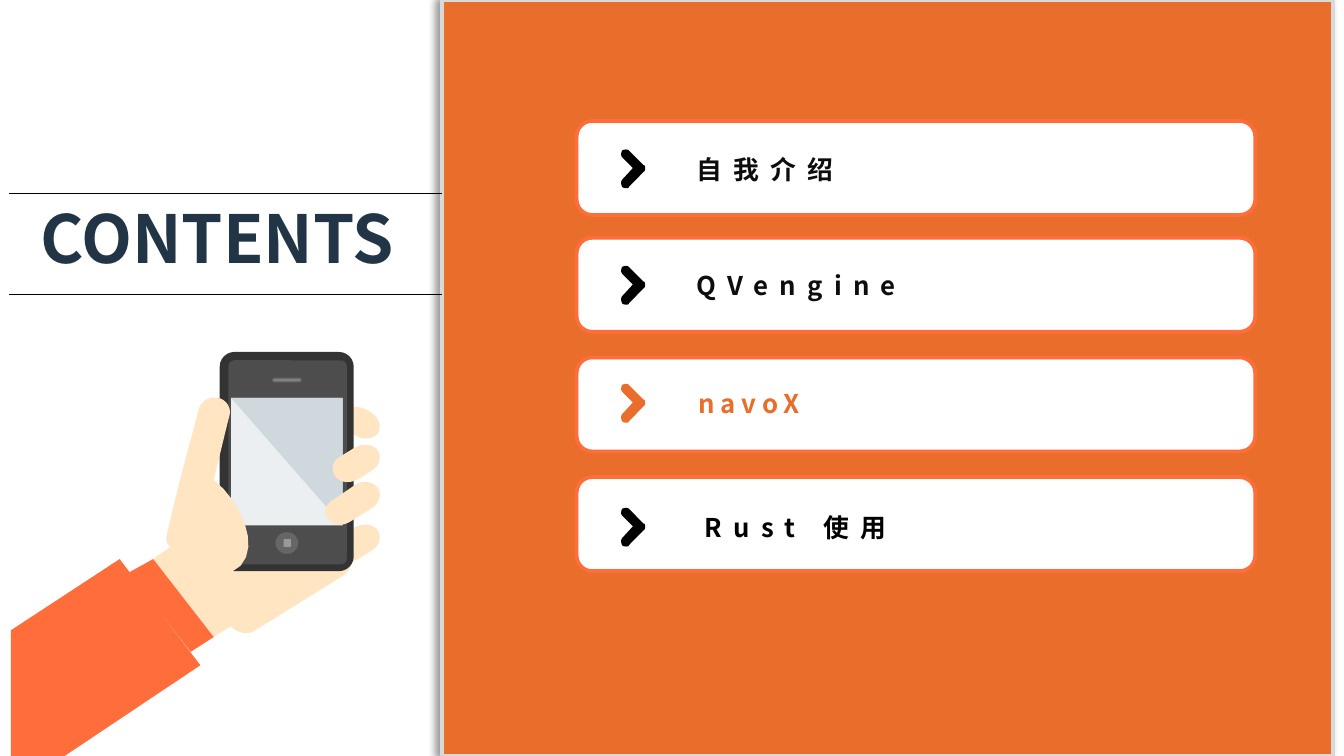
import dataclasses

import lxml.etree
import pptx
import pptx.dml.color
import pptx.enum.shapes
import pptx.enum.text
import pptx.oxml.ns
import pptx.util

Pt = pptx.util.Pt
qn = pptx.oxml.ns.qn
KIND = pptx.enum.shapes.MSO_SHAPE


@dataclasses.dataclass(frozen=True)
class Theme:
    font: str = "Noto Sans CJK SC"
    head: float = 35.5
    item: float = 13.8
    orange: str = "E96D2B"
    coral: str = "FF6D3B"
    skin: str = "FFE5C2"
    navy: str = "213546"
    ink: str = "0D0D0D"
    black: str = "000000"
    white: str = "FFFFFF"
    edge: str = "D9D9D9"
    case: str = "333333"
    face: str = "4D4D4D"
    knob: str = "666666"
    slot: str = "808080"
    mark: str = "999999"
    glass: str = "ECEFF1"
    glare: str = "CFD8DC"


T = Theme()

# Outlines in points: two numbers are a line, six a curve
CHEVRON = [(4.3, .7), (3.6, 0, 2.2, 0, .7, .7), (0, 2.2, 0, 3.6, .7, 4.3),
           (6.5, 10.1), (.7, 16.4), (0, 17.3, 0, 18.7, .7, 20.2),
           (1.4, 20.9, 2.2, 20.9, 2.9, 20.9), (3.6, 20.9, 4.3, 20.9, 4.3, 20.2),
           (12.2, 12.2), (13, 11.5, 13, 11.5, 13, 10.1),
           (13, 9.4, 13, 8.6, 12.2, 8.6)]
SHORT = [(2.9, 18), (5, 20.9, 10.1, 21.6, 14.4, 19.4), (22.3, 14.4),
         (26.6, 11.5, 27.4, 7.2, 25.2, 3.6), (22.3, 0, 17.3, 0, 13, 2.2),
         (5, 7.2), (.7, 9.4, 0, 14.4, 2.9, 18)]
LONG = [(2.9, 20.9), (5.8, 24.5, 10.8, 25.2, 15.1, 22.3), (26.6, 15.1),
        (31, 12.2, 31.7, 7.2, 29.5, 4.3), (26.6, .7, 20.9, 0, 17.3, 2.9),
        (5.8, 10.8), (1.4, 13, 0, 18, 2.9, 20.9)]
INDEX = [(20.9, 15.1), (18, 18, 12.2, 18.7, 7.9, 15.1), (5.8, 14.4),
         (2.2, 11.5, 0, 6.5, 2.9, 3.6), (5, 0, 11.5, 0, 15.1, 2.2),
         (17.3, 3.6), (22.3, 6.5, 23, 11.5, 20.9, 15.1)]
PALM = [(186.5, 295.9), (154.1, 252.7), (151.2, 249.1, 144.7, 248.4, 141.1, 251.3),
        (93.6, 280.8), (89.3, 283.7, 87.8, 288.7, 91.4, 293), (82.1, 299.5),
        (114.5, 341.3), (123.8, 335.5), (126.7, 339.1, 133.2, 340.6, 136.8, 337.7),
        (184.3, 308.2), (188.6, 304.6, 190.1, 299.5, 186.5, 295.9)]
THUMB = [(114.5, 257), (129.6, 269.3, 139, 292.3, 128.9, 303.1),
         (118.1, 314.6, 97.2, 299.5, 91.4, 293), (90, 292.3, 88.6, 289.4, 89.3, 287.3),
         (94.3, 264.2, 100.8, 241.2, 106.6, 218.9),
         (108, 214.6, 112.3, 212.4, 116.6, 213.1),
         (121, 213.8, 123.8, 218.2, 123.1, 221.8)]
SLEEVE = [(64.1, 299.5), (5.8, 337.7), (5.8, 406), (33.1, 406), (107.3, 356.4)]
CUFF = [(102.2, 349.2), (114.5, 341.3), (82.1, 299.5), (69.1, 306.7)]
GLARE = [(183.6, 213.1), (123.8, 213.1), (183.6, 281.5)]

# Text, card top, icon top, colour, letter gap, indent
ROWS = [("自我介绍", 64.8, 79.9, T.ink, 6, 0),
        ("QVengine", 127.4, 142.3, T.ink, 6, 0),
        ("navoX", 191.5, 205.5, T.orange, 3, 1.4),
        ("Rust 使用", 255.6, 271.9, T.black, 6, 4.5)]


def tint(color):
    return pptx.dml.color.RGBColor.from_string(color)


def paint(shape, fill, line=None):
    shape.shadow.inherit = False
    shape.fill.solid()
    shape.fill.fore_color.rgb = tint(fill)
    if line:
        shape.line.color.rgb = tint(line)
        shape.line.width = Pt(2)
    else:
        shape.line.fill.background()
    return shape


def block(slide, kind, box, fill, line=None, round=None):
    shape = slide.shapes.add_shape(kind, *map(Pt, box))
    if round is not None:
        shape.adjustments[0] = round
    return paint(shape, fill, line)


def trace(path, steps=8):
    points = [path[0]]
    for part in path[1:]:
        if len(part) == 2:
            points.append(part)
            continue
        a, (b, c, d) = points[-1], (part[:2], part[2:4], part[4:])
        for n in range(1, steps + 1):
            t = n / steps
            u = 1 - t
            points.append(tuple(
                u**3 * a[i] + 3 * u * u * t * b[i] + 3 * u * t * t * c[i] + t**3 * d[i]
                for i in (0, 1)))
    return points


def draw(slide, path, fill, left=0, top=0):
    points = [(Pt(x + left), Pt(y + top)) for x, y in trace(path)]
    pen = slide.shapes.build_freeform(*points[0])
    pen.add_line_segments(points[1:], close=True)
    paint(pen.convert_to_shape(), fill)


def rule(slide, y):
    line = slide.shapes.add_connector(
        pptx.enum.shapes.MSO_CONNECTOR.STRAIGHT, Pt(5), Pt(y), Pt(236.9), Pt(y))
    line.line.color.rgb = tint(T.black)
    line.line.width = Pt(.75)
    lxml.etree.SubElement(line._element.spPr, qn("a:effectLst"))


def shade(shape):
    glow = lxml.etree.SubElement(
        shape._element.spPr.find(qn("a:effectLst")), qn("a:outerShdw"),
        blurRad=str(Pt(4)), dist=str(Pt(3)), dir="10800000", rotWithShape="0")
    color = lxml.etree.SubElement(glow, qn("a:srgbClr"), val=T.black)
    lxml.etree.SubElement(color, qn("a:alpha"), val="40000")


def place(slide, holder, box, inset=0):
    slide.shapes._spTree.append(holder._element)  # bring to front
    holder.left, holder.top, holder.width, holder.height = map(Pt, box)
    frame = holder.text_frame
    frame.word_wrap = True
    frame.auto_size = pptx.enum.text.MSO_AUTO_SIZE.NONE
    frame.vertical_anchor = pptx.enum.text.MSO_ANCHOR.TOP
    frame.margin_left = Pt(inset)
    frame.margin_top = frame.margin_right = frame.margin_bottom = 0
    return frame


def write(para, text, size, color, gap=0, indent=0, before=0, pitch=None):
    para.alignment = pptx.enum.text.PP_ALIGN.LEFT
    para.space_before = Pt(before)
    if pitch:
        para.line_spacing = Pt(pitch)
    props = para._p.get_or_add_pPr()
    props.set("marL", str(Pt(indent)))
    props.set("indent", "0")
    lxml.etree.SubElement(props, qn("a:buNone"))
    run = para.add_run()
    run.text = text
    font = run.font
    font.size, font.bold, font.name = Pt(size), True, T.font
    font.color.rgb = tint(color)
    look = run._r.get_or_add_rPr()
    look.set("spc", str(gap * 100))
    lxml.etree.SubElement(look, qn("a:ea"), typeface=T.font)


def phone(slide):
    draw(slide, SHORT, T.skin, 177.1, 280.4)
    draw(slide, SLEEVE, T.coral)
    draw(slide, PALM, T.skin)
    draw(slide, INDEX, T.skin, 181.4, 217.4)
    # Case, screen, speaker and button
    block(slide, KIND.ROUNDED_RECTANGLE, (117.7, 188.6, 71.8, 117.4), T.case, round=.11)
    block(slide, KIND.ROUNDED_RECTANGLE, (122.4, 193, 63.4, 109.4), T.face, round=.05)
    block(slide, KIND.RECTANGLE, (123.8, 213.1, 59.8, 68.4), T.glass)
    draw(slide, GLARE, T.glare)
    block(slide, KIND.ROUNDED_RECTANGLE, (145.8, 202.3, 15.8, 2.6), T.knob, round=.5)
    block(slide, KIND.ROUNDED_RECTANGLE, (146.4, 203, 14.6, 1.3), T.slot, round=.5)
    block(slide, KIND.OVAL, (147.6, 285.1, 12.2, 11.6), T.knob)
    block(slide, KIND.ROUNDED_RECTANGLE, (151.9, 288.8, 4, 4.2), T.mark, round=.1)
    # Fingers in front
    draw(slide, THUMB, T.skin)
    draw(slide, SHORT, T.skin, 177.1, 237.6)
    draw(slide, LONG, T.skin, 172.8, 257)
    draw(slide, CUFF, T.coral)


def main():
    deck = pptx.Presentation()
    deck.slide_width, deck.slide_height = Pt(720), Pt(405)
    slide = deck.slides.add_slide(deck.slide_layouts[1])
    title, body = slide.placeholders

    # Panel and cards
    shade(block(slide, KIND.RECTANGLE, (236.9, 0, 477.4, 405), T.orange, T.edge))
    for row in ROWS:
        block(slide, KIND.ROUNDED_RECTANGLE, (308.9, row[1], 363.6, 50.4), T.white, T.coral)

    phone(slide)

    # Heading between two rules
    frame = place(slide, title, (14.4, 105.6, 315.4, 51.4), inset=7.2)
    write(frame.paragraphs[0], "CONTENTS", size=T.head, color=T.navy)
    for y in (157.7, 103.7):
        rule(slide, y)

    # Icons and list
    pitch = 20
    first = ROWS[0][2] - 1
    frame = place(slide, body, (373, first, 290, 214))
    last = first - pitch
    for n, (text, _, top, color, gap, indent) in enumerate(ROWS):
        block(slide, KIND.OVAL, (322.6, top - 5, 31, 31), T.white)
        mark = T.orange if color == T.orange else T.black
        draw(slide, CHEVRON, mark, 332.6, top)
        para = frame.add_paragraph() if n else frame.paragraphs[0]
        write(para, text, size=T.item, color=color, gap=gap, indent=indent,
              before=top - 1 - last - pitch, pitch=pitch)
        last = top - 1
    slide.shapes._spTree.append(body._element)

    deck.save("out.pptx")


if __name__ == "__main__":
    main()
